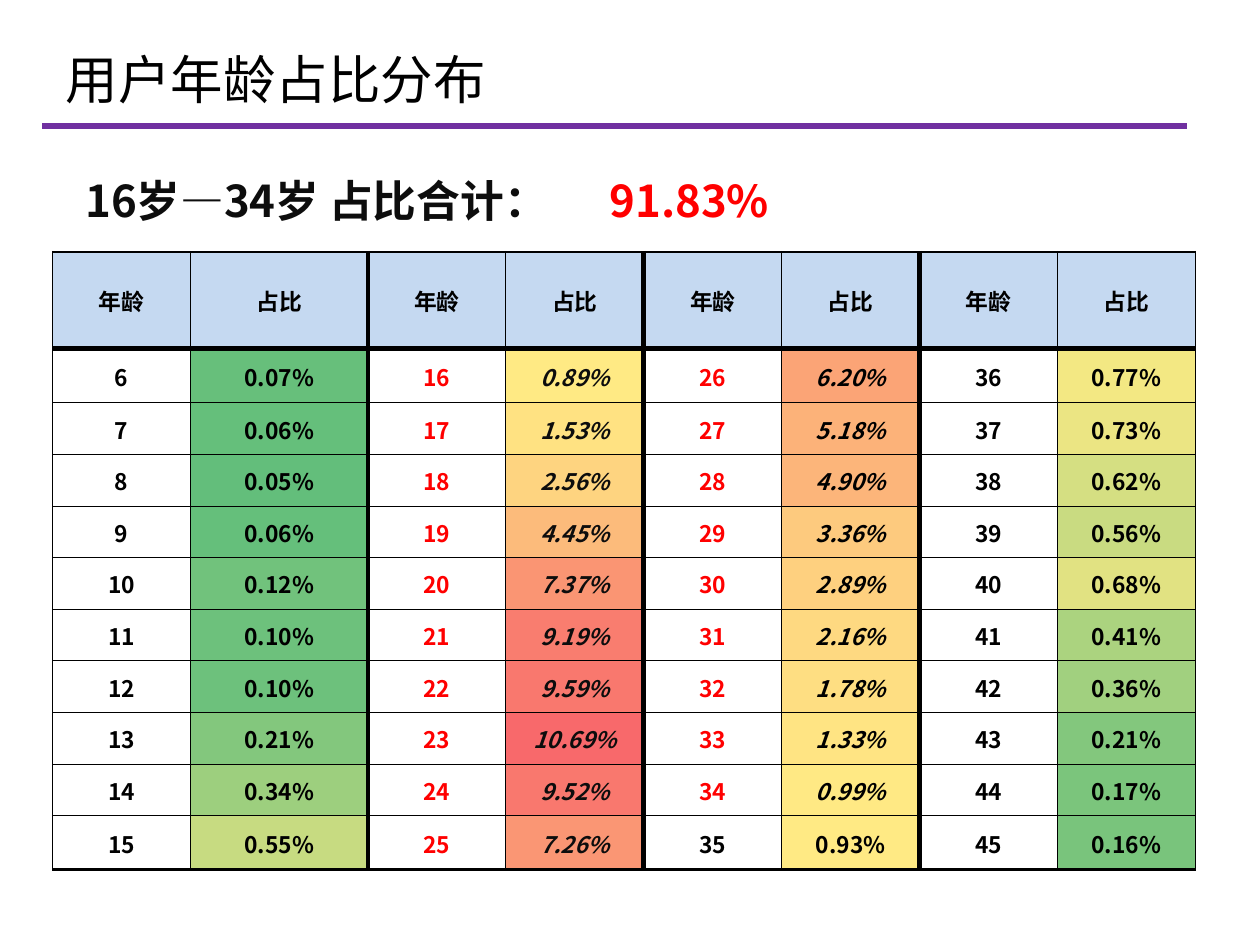
from dataclasses import dataclass
from typing import Optional

from lxml import etree
from pptx import Presentation
from pptx import util as u
from pptx.dml.color import RGBColor
from pptx.enum import shapes, text
from pptx.oxml import ns

FONT = "Noto Sans CJK SC"
HUES = {
    "black": "000000",
    "ink": "0D0D0D",
    "red": "FF0000",
    "rule": "7030A0",
    "head": "C5D9F1",
    "low": "63BE7B",
    "mid": "FFEB84",
    "high": "F8696B",
}
FIRST = 6
ROWS = 10
PAIRS = 4
SHARES = [
    0.07, 0.06, 0.05, 0.06, 0.12, 0.10, 0.10, 0.21, 0.34, 0.55,
    0.89, 1.53, 2.56, 4.45, 7.37, 9.19, 9.59, 10.69, 9.52, 7.26,
    6.20, 5.18, 4.90, 3.36, 2.89, 2.16, 1.78, 1.33, 0.99, 0.93,
    0.77, 0.73, 0.62, 0.56, 0.68, 0.41, 0.36, 0.21, 0.17, 0.16,
]
WIDTHS = [2.78, 3.58] + [2.78] * 6
HEIGHTS = [1.95, 1.09] + [1.04] * 8 + [1.09]
THIN, EDGE, THICK = 0.5, 1.5, 3


@dataclass
class Entry:
    row: int
    col: int
    words: str
    fill: Optional[str] = None
    hue: str = HUES["black"]
    slant: bool = False


def write(para, words: str, *, size: float, hue: str = HUES["black"],
          bold: bool = False, slant: bool = False) -> None:
    run = para.add_run()
    run.text = words
    font = run.font
    font.name, font.size = FONT, u.Pt(size)
    font.bold, font.italic = bold, slant
    font.color.rgb = RGBColor.from_string(hue)
    east = etree.SubElement(run._r.get_or_add_rPr(), ns.qn("a:ea"))
    east.set("typeface", FONT)


def blend(start: str, end: str, part: float) -> str:
    pairs = zip(bytes.fromhex(start), bytes.fromhex(end))
    return "".join(f"{round(a + (b - a) * part):02X}" for a, b in pairs)


def shade(share: float) -> str:
    order = sorted(SHARES)
    half = len(order) // 2
    low, high = order[0], order[-1]
    mid = (order[half - 1] + order[half]) / 2
    if share < mid:
        return blend(HUES["low"], HUES["mid"], (share - low) / (mid - low))
    return blend(HUES["mid"], HUES["high"], (share - mid) / (high - mid))


def border(cell, side: str, width: float) -> None:
    line = etree.SubElement(cell._tc.get_or_add_tcPr(), ns.qn(f"a:ln{side}"))
    line.set("w", str(u.Pt(width)))
    fill = etree.SubElement(line, ns.qn("a:solidFill"))
    etree.SubElement(fill, ns.qn("a:srgbClr")).set("val", HUES["black"])


def draw_cell(grid, entry: Entry) -> None:
    cell = grid.cell(entry.row, entry.col)
    row, col = entry.row, entry.col
    last = 2 * PAIRS - 1
    border(cell, "L", THICK if col and col % 2 == 0 else THIN)
    border(cell, "R", THICK if col % 2 and col < last else THIN)
    border(cell, "T", {0: EDGE, 1: THICK}.get(row, THIN))
    border(cell, "B", {0: THICK, ROWS: EDGE}.get(row, THIN))
    if entry.fill:
        cell.fill.solid()
        cell.fill.fore_color.rgb = RGBColor.from_string(entry.fill)
    else:
        cell.fill.background()
    cell.margin_left = cell.margin_right = cell.margin_top = u.Cm(0.03)
    cell.margin_bottom = 0
    cell.vertical_anchor = text.MSO_ANCHOR.MIDDLE
    para = cell.text_frame.paragraphs[0]
    para.alignment = text.PP_ALIGN.CENTER
    write(para, entry.words, size=13, hue=entry.hue, bold=True, slant=entry.slant)


def list_cells() -> list[Entry]:
    cells = [Entry(0, col, ("年龄", "占比")[col % 2], HUES["head"])
             for col in range(2 * PAIRS)]
    for spot, share in enumerate(SHARES):
        pair, row = divmod(spot, ROWS)
        age = FIRST + spot
        core = 16 <= age <= 34
        cells.append(Entry(row + 1, 2 * pair, str(age),
                           hue=HUES["red" if core else "black"]))
        cells.append(Entry(row + 1, 2 * pair + 1, f"{share:.2f}%", shade(share),
                           HUES["ink" if pair == 1 else "black"], core))
    return cells


def draw_title(slide) -> None:
    title = slide.shapes.title
    title.left, title.top = u.Cm(1.07), u.Cm(0)
    title.width, title.height = u.Cm(22.86), u.Cm(3.18)
    frame = title.text_frame
    frame.auto_size = text.MSO_AUTO_SIZE.NONE
    frame.vertical_anchor = text.MSO_ANCHOR.MIDDLE
    frame.paragraphs[0].alignment = text.PP_ALIGN.LEFT
    write(frame.paragraphs[0], "用户年龄占比分布", size=30)


def draw_rule(slide) -> None:
    rule = slide.shapes.add_connector(shapes.MSO_CONNECTOR.STRAIGHT, u.Cm(0.85),
                                      u.Cm(2.54), u.Cm(23.92), u.Cm(2.54))
    rule.line.color.rgb = RGBColor.from_string(HUES["rule"])
    rule.line.width = u.Pt(3.75)
    etree.SubElement(rule._element.spPr, ns.qn("a:effectLst"))


def draw_table(slide) -> None:
    grid = slide.shapes.add_table(
        ROWS + 1, 2 * PAIRS, u.Cm(1.06), u.Cm(5.08),
        u.Cm(sum(WIDTHS)), u.Cm(sum(HEIGHTS))).table
    grid.first_row = grid.horz_banding = False
    for col, width in zip(grid.columns, WIDTHS):
        col.width = u.Cm(width)
    for row, height in zip(grid.rows, HEIGHTS):
        row.height = u.Cm(height)
    for entry in list_cells():
        draw_cell(grid, entry)


def draw_total(slide) -> None:
    box = slide.shapes.add_textbox(u.Cm(1.47), u.Cm(3.38), u.Cm(15.88), u.Cm(1.32))
    frame = box.text_frame
    frame.word_wrap = True
    para = frame.paragraphs[0]
    tabs = etree.SubElement(para._p.get_or_add_pPr(), ns.qn("a:tabLst"))
    stop = etree.SubElement(tabs, ns.qn("a:tab"))
    stop.set("pos", str(u.Cm(10.57)))
    stop.set("algn", "l")
    write(para, "16岁—34岁 占比合计：\t", size=25, hue=HUES["ink"], bold=True)
    write(para, "91.83%", size=25, hue=HUES["red"], bold=True)


def main() -> None:
    deck = Presentation()
    deck.slide_width, deck.slide_height = u.Cm(25.4), u.Cm(19.05)
    slide = deck.slides.add_slide(deck.slide_layouts[5])
    draw_rule(slide)
    draw_title(slide)
    draw_table(slide)
    draw_total(slide)
    deck.save("out.pptx")


if __name__ == "__main__":
    main()
